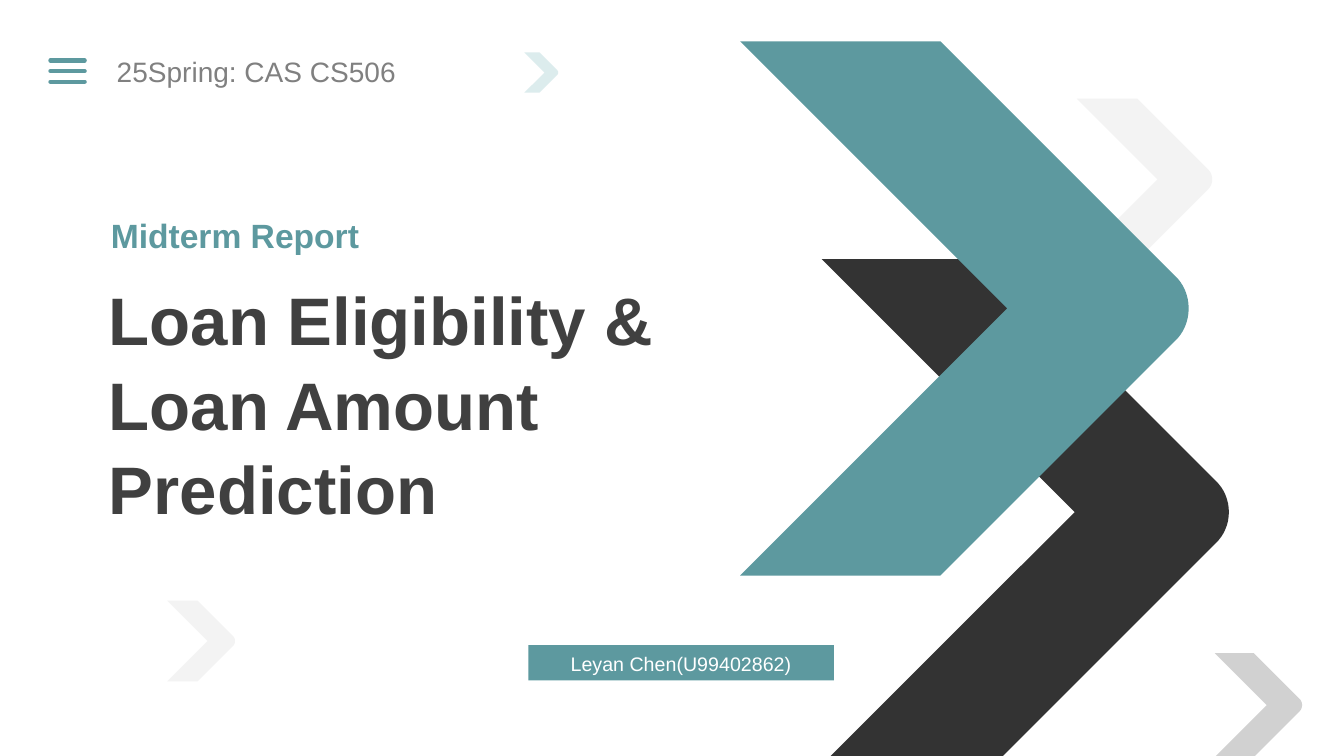
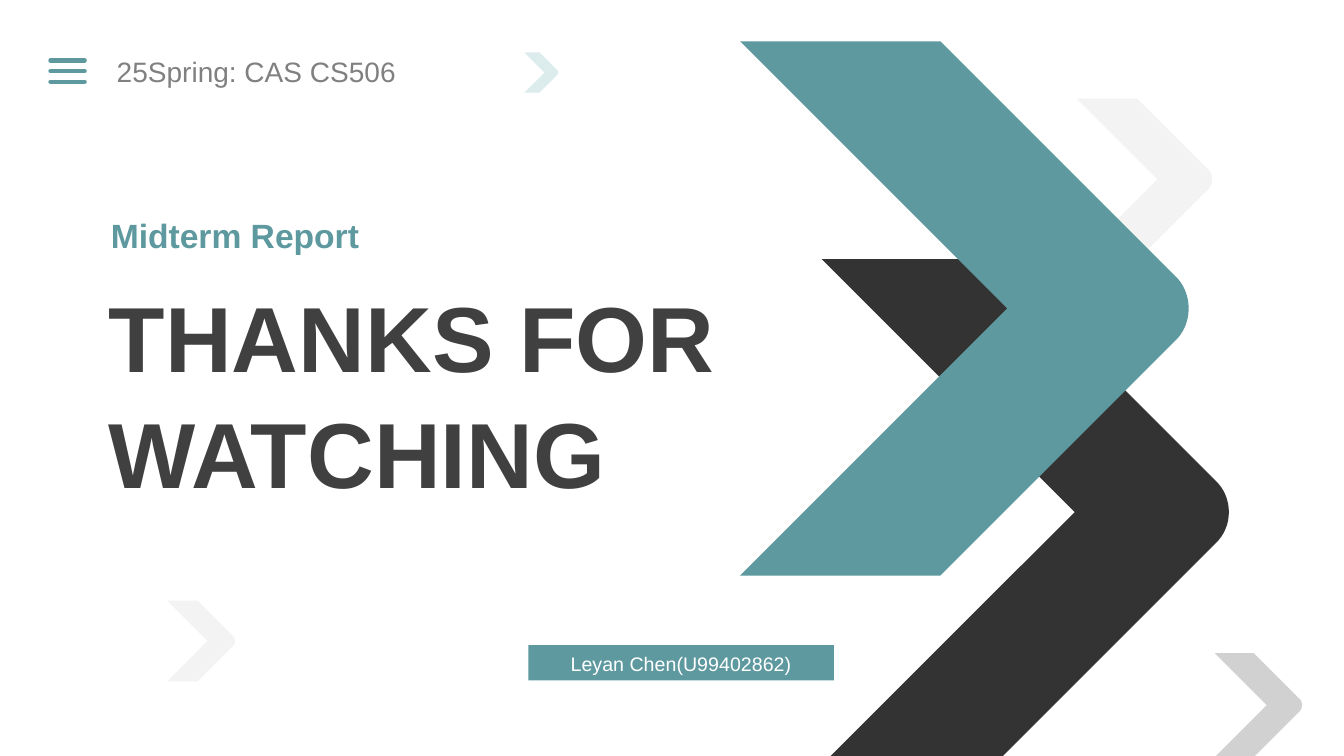
from lxml.etree import SubElement
from pptx import Presentation
from pptx.dml.color import RGBColor
from pptx.enum.shapes import MSO_CONNECTOR, MSO_SHAPE
from pptx.enum.text import MSO_ANCHOR, MSO_AUTO_SIZE, PP_ALIGN
from pptx.oxml.ns import qn
from pptx.util import Inches, Pt

SLIDE_W, SLIDE_H = 13.33, 7.5
FONT = "Arial"
LINE_SPACING = 1.05
COLORS = {
    "teal": "5D999F",
    "pale_teal": "D9EAEC",
    "black": "000000",
    "title": "404040",
    "course": "808080",
    "gray": "CCCCCC",
    "pale_gray": "F2F2F2",
    "white": "FFFFFF",
}

# left, top, height, colour, opacity in percent, arm width as a share of height
CHEVRONS = [
    (10.68, 0.98, 1.6, "pale_gray", 90, 0.375),
    (8.15, 2.57, 5.02, "black", 80, 0.34),
    (7.34, 0.41, 5.3, "teal", 100, 0.375),
    (12.05, 6.48, 1.03, "gray", 90, 0.375),
    (1.66, 5.96, 0.8, "pale_gray", 90, 0.375),
    (5.2, 0.52, 0.4, "pale_teal", 90, 0.375),
]

# Title paragraphs and their size
SLIDES = [
    (["Loan Eligibility &", "Loan Amount Prediction"], 48),
    (["THANKS FOR WATCHING"], 66),
]


def rgb(name):
    return RGBColor.from_string(COLORS[name])


def set_fill(sp, color, opacity=100):
    sp.shadow.inherit = False
    sp.fill.solid()
    sp.fill.fore_color.rgb = rgb(color)
    sp.line.fill.background()
    if opacity < 100:
        clr = sp.fill._xPr.find(qn("a:solidFill"))[0]
        SubElement(clr, qn("a:alpha"), val=str(opacity * 1000))


def write_text(tf, lines, size, color, bold=False, align=PP_ALIGN.LEFT,
               anchor=MSO_ANCHOR.TOP, wrap=True):
    tf.word_wrap = wrap
    tf.auto_size = MSO_AUTO_SIZE.NONE
    tf.vertical_anchor = anchor
    for i, line in enumerate(lines):
        p = tf.add_paragraph() if i else tf.paragraphs[0]
        p.alignment = align
        p.line_spacing = LINE_SPACING
        p.space_before = Pt(0)
        r = p.add_run()
        r.text = line
        r.font.name = FONT
        r.font.size = Pt(size)
        r.font.bold = bold
        r.font.color.rgb = rgb(color)


def add_text(s, left, top, width, height, text, size, color, **style):
    sp = s.shapes.add_textbox(*map(Inches, (left, top, width, height)))
    write_text(sp.text_frame, [text], size, color, **style)


def rounded_tip(x, top, height, steps=16):
    """Points on the Bezier curve that rounds the tip of a chevron."""
    y0, y1 = top + 0.4375 * height, top + 0.47 * height
    y2, y3 = top + 0.53 * height, top + 0.5625 * height
    bulge = 0.036 * height
    points = []
    for i in range(steps + 1):
        t = i / steps
        u = 1 - t
        points.append((x + 3 * u * t * bulge,
                       u**3 * y0 + 3 * u * u * t * y1
                       + 3 * u * t * t * y2 + t**3 * y3))
    return points


def add_chevron(s, left, top, height, color, opacity, arm_share):
    arm = arm_share * height
    bottom = min(top + height, SLIDE_H)
    foot = left + top + height - bottom  # shifts when the slide edge cuts it
    points = [(left + arm, top)]
    points += rounded_tip(left + arm + 0.4375 * height, top, height)
    points += [(foot + arm, bottom), (foot, bottom),
               (left + height / 2, top + height / 2)]
    builder = s.shapes.build_freeform(Inches(left), Inches(top))
    builder.add_line_segments([(Inches(x), Inches(y)) for x, y in points])
    set_fill(builder.convert_to_shape(), color, opacity)


def add_menu_icon(s):
    for i in range(3):
        y = Inches(0.6 + i * 0.105)
        line = s.shapes.add_connector(
            MSO_CONNECTOR.STRAIGHT, Inches(0.5), y, Inches(0.84), y)
        line.line.color.rgb = rgb("teal")
        line.line.width = Pt(3)
        ln = line.line._get_or_add_ln()
        ln.set("cap", "rnd")
        SubElement(ln.getparent(), qn("a:effectLst"))


def add_name_band(s, name):
    sp = s.shapes.add_shape(MSO_SHAPE.RECTANGLE, Inches(5.24), Inches(6.4),
                            Inches(3.03), Inches(0.35))
    set_fill(sp, "teal")
    write_text(sp.text_frame, [name], 14, "white",
               align=PP_ALIGN.CENTER, anchor=MSO_ANCHOR.MIDDLE)


def set_title(s, lines, size):
    sp = s.shapes.title
    sp.left, sp.top = Inches(0.98), Inches(2.67)
    sp.width, sp.height = Inches(7.56), Inches(2.52)
    write_text(sp.text_frame, lines, size, "title", bold=True)


def add_cover(prs, lines, size):
    s = prs.slides.add_slide(prs.slide_layouts[5])
    # Decoration
    for chevron in CHEVRONS:
        add_chevron(s, *chevron)
    # Header
    add_menu_icon(s)
    add_text(s, 1.06, 0.48, 3.86, 0.44, "25Spring: CAS CS506", 20, "course")
    # Title block
    add_text(s, 1, 2.06, 2.69, 0.5, "Midterm Report", 24, "teal",
             bold=True, wrap=False)
    set_title(s, lines, size)
    # Author
    add_name_band(s, "Leyan Chen(U99402862)")


def main():
    prs = Presentation()
    prs.slide_width, prs.slide_height = Inches(SLIDE_W), Inches(SLIDE_H)
    for lines, size in SLIDES:
        add_cover(prs, lines, size)
    prs.save("out.pptx")


if __name__ == "__main__":
    main()
